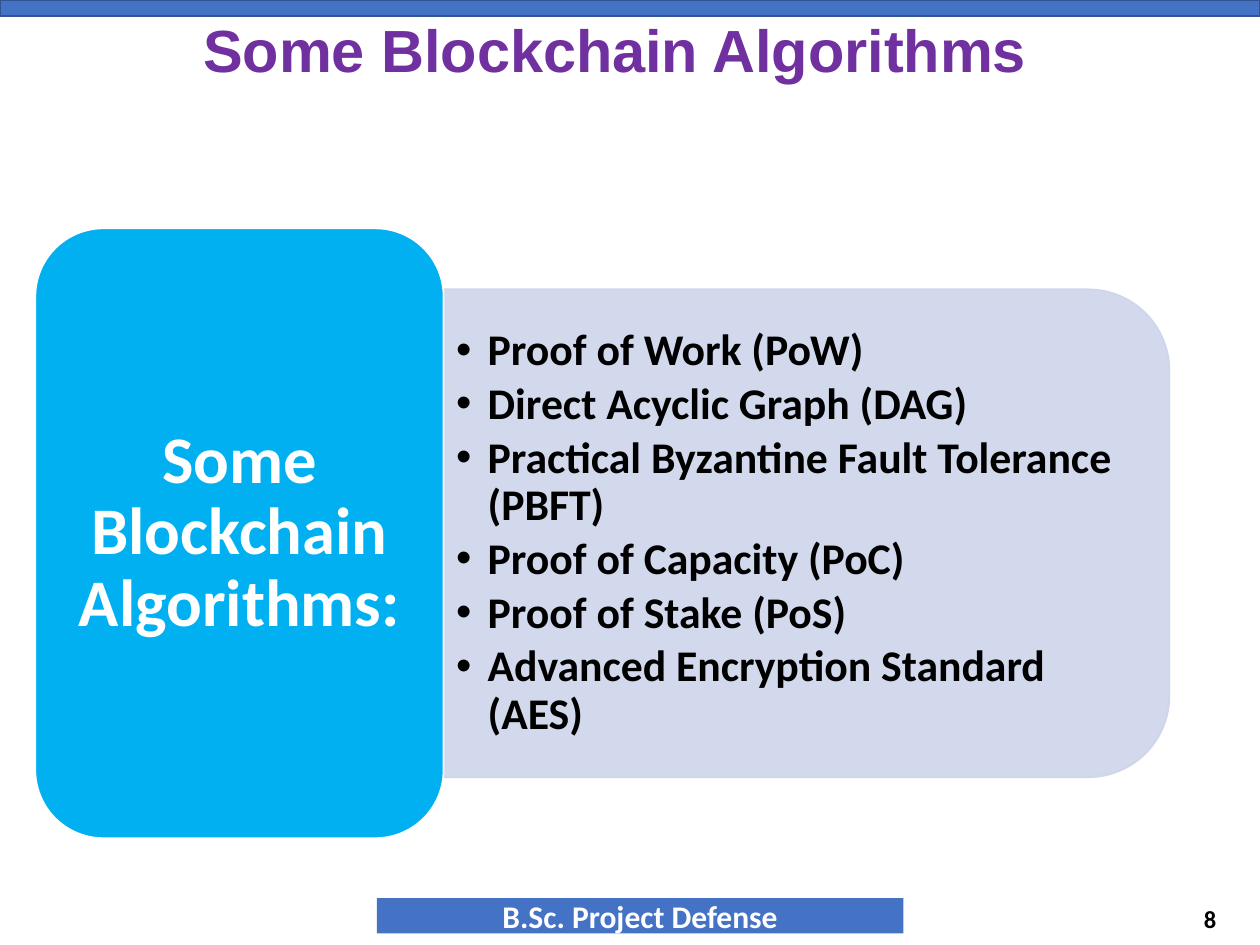
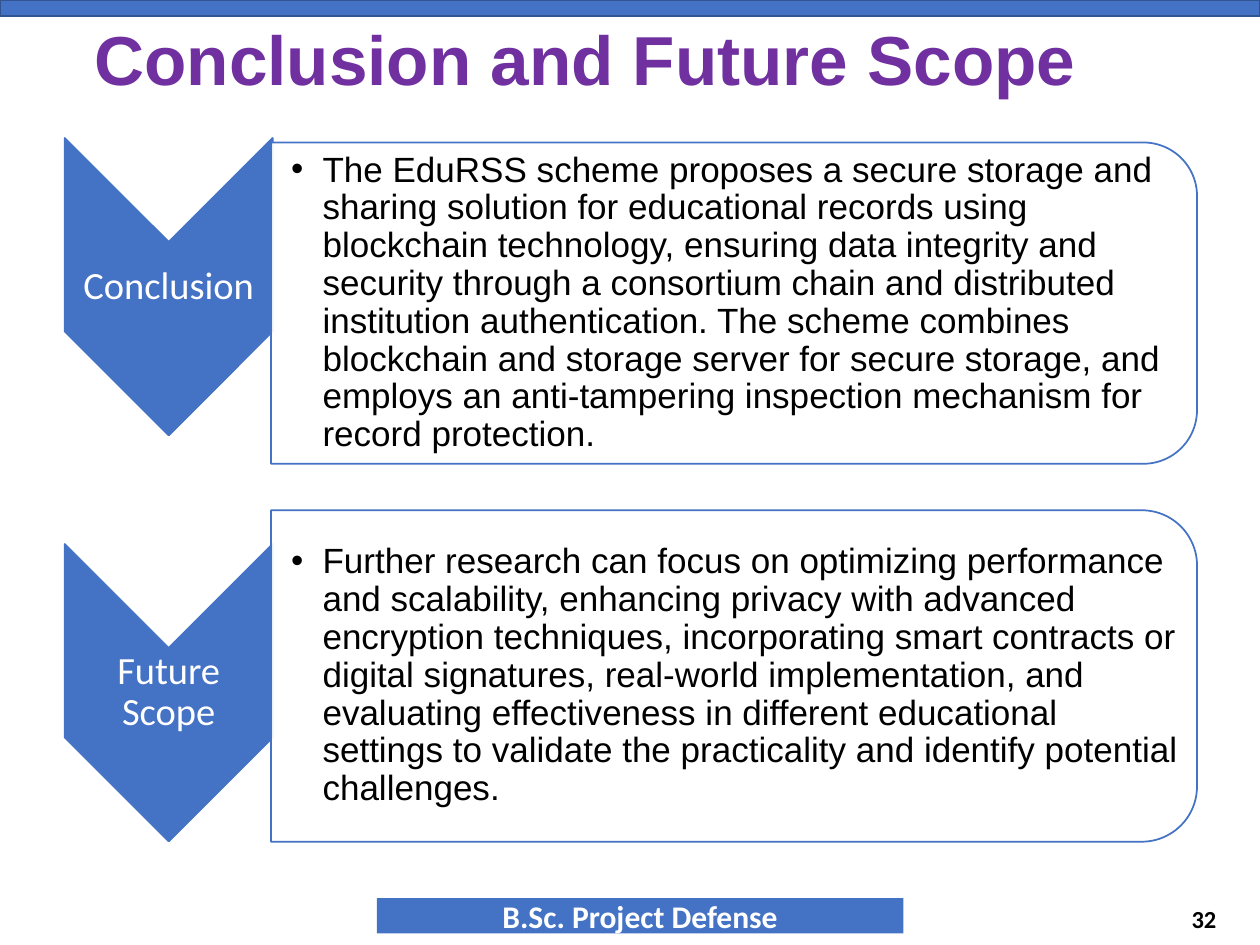
import lxml.etree
import pptx
import pptx.dml.color
import pptx.enum.shapes
import pptx.enum.text
import pptx.oxml.ns
import pptx.util

Pt = pptx.util.Pt
SHAPES = pptx.enum.shapes.MSO_SHAPE
ALIGN = pptx.enum.text.PP_ALIGN

BLUE, DARK_BLUE, SKY = "4472C4", "325491", "00B0F0"
LAVENDER, PURPLE = "CFD5EA", "7030A0"
WHITE, BLACK = "FFFFFF", "000000"

ALGORITHMS = [
    "Proof of Work (PoW)",
    "Direct Acyclic Graph (DAG)",
    "Practical Byzantine Fault Tolerance (PBFT)",
    "Proof of Capacity (PoC)",
    "Proof of Stake (PoS)",
    "Advanced Encryption Standard (AES)",
]
CONCLUSION = (
    "The EduRSS scheme proposes a secure storage and sharing solution for "
    "educational records using blockchain technology, ensuring data integrity "
    "and security through a consortium chain and distributed institution "
    "authentication. The scheme combines blockchain and storage server for "
    "secure storage, and employs an anti-tampering inspection mechanism for "
    "record protection."
)
FUTURE_SCOPE = (
    "Further research can focus on optimizing performance and scalability, "
    "enhancing privacy with advanced encryption techniques, incorporating smart "
    "contracts or digital signatures, real-world implementation, and evaluating "
    "effectiveness in different educational settings to validate the "
    "practicality and identify potential challenges."
)


def rgb(value):
    """Turn a hex string into a colour."""
    return pptx.dml.color.RGBColor.from_string(value)


def add_bullet(paragraph):
    """Give a paragraph a round bullet with a hanging indent."""
    properties = paragraph._p.get_or_add_pPr()
    properties.set("marL", str(Pt(18)))
    properties.set("indent", str(-Pt(18)))
    for tag, name, value in (("a:buFont", "typeface", "Arial"), ("a:buChar", "char", "•")):
        element = lxml.etree.SubElement(properties, pptx.oxml.ns.qn(tag))
        element.set(name, value)


def write_text(shape, lines, size, color=BLACK, font="Calibri", bold=False,
               align=ALIGN.LEFT, spacing=1.0, after=0, bullet=False,
               insets=(7.2, 3.6, 7.2, 3.6)):
    """Fill a shape with formatted paragraphs centred vertically."""
    frame = shape.text_frame
    frame.word_wrap = True
    frame.auto_size = pptx.enum.text.MSO_AUTO_SIZE.NONE
    frame.vertical_anchor = pptx.enum.text.MSO_ANCHOR.MIDDLE
    (frame.margin_left, frame.margin_top,
     frame.margin_right, frame.margin_bottom) = map(Pt, insets)
    for index, line in enumerate(lines):
        paragraph = frame.add_paragraph() if index else frame.paragraphs[0]
        if bullet:
            add_bullet(paragraph)
        paragraph.alignment = align
        paragraph.line_spacing = spacing
        paragraph.space_before = Pt(0)
        paragraph.space_after = Pt(size * after)
        run = paragraph.add_run()
        run.text = line
        run.font.name = font
        run.font.size = Pt(size)
        run.font.bold = bold
        run.font.color.rgb = rgb(color)


def place(shape, box):
    """Move a shape to a box of left, top, width and height in points."""
    shape.left, shape.top, shape.width, shape.height = map(Pt, box)


def add_text(slide, box, text, size, **text_format):
    """Add a text box with one paragraph."""
    shape = slide.shapes.add_textbox(*map(Pt, box))
    write_text(shape, [text], size, **text_format)


def add_block(slide, kind, box, fill, line=None, opacity=100, turned=False):
    """Add a preset shape that covers a box, turned a quarter when asked."""
    left, top, width, height = box
    if turned:
        left, top = left + (width - height) / 2, top + (height - width) / 2
        width, height = height, width
    shape = slide.shapes.add_shape(kind, *map(Pt, (left, top, width, height)))
    shape.rotation = 90 if turned else 0
    shape.shadow.inherit = False
    shape.fill.solid()
    shape.fill.fore_color.rgb = rgb(fill)
    if opacity < 100:
        color = next(shape._element.iter(pptx.oxml.ns.qn("a:srgbClr")))
        alpha = lxml.etree.SubElement(color, pptx.oxml.ns.qn("a:alpha"))
        alpha.set("val", str(opacity * 1000))
    if line:
        shape.line.color.rgb = rgb(line)
        shape.line.width = Pt(1)
    else:
        shape.line.fill.background()
    return shape


def add_panel(slide, placeholder, box, lines, text_box, fill, line, **text_format):
    """Add a panel rounded on the right, with a bulleted list in front."""
    add_block(slide, SHAPES.ROUND_2_SAME_RECTANGLE, box, fill, line,
              opacity=90, turned=True)
    place(placeholder, text_box)
    write_text(placeholder, lines, spacing=0.9, after=0.15, bullet=True, **text_format)
    slide.shapes._spTree.append(placeholder._element)


def start_slide(presentation, layout, title, box, size, align, number):
    """Add a slide with its title, top bar, footer band and page number."""
    slide = presentation.slides.add_slide(presentation.slide_layouts[layout])
    band = add_block(slide, SHAPES.RECTANGLE, (215.3, 513.2, 301, 20.2), BLUE)
    write_text(band, ["B.Sc. Project Defense"], 18, color=WHITE, bold=True,
               align=ALIGN.CENTER)
    add_block(slide, SHAPES.RECTANGLE, (0, 0, 720, 9), BLUE, DARK_BLUE)
    place(slide.shapes.title, box)
    write_text(slide.shapes.title, [title], size, color=PURPLE, font="Arial",
               bold=True, align=align, spacing=0.9)
    add_text(slide, (534.2, 510.5, 168, 28.8), number, 14, bold=True,
             align=ALIGN.RIGHT)
    return slide


def add_algorithm_card(slide, box, heading, lines):
    """Add a heading card on the left with a list panel beside it."""
    left, top, width, height = box
    card_width = 233.3
    panel_left, panel_width = left + card_width, width - card_width
    add_panel(slide, slide.placeholders[1],
              (panel_left, top + height * 0.1, panel_width, height * 0.8), lines,
              (panel_left, top + 49, panel_width - 13.6, height - 98),
              LAVENDER, LAVENDER, size=25, bold=True)
    add_block(slide, SHAPES.ROUNDED_RECTANGLE, (left, top, card_width, height), SKY, WHITE)
    add_text(slide, (left + 11.5, top + 11.5, card_width - 23, height - 23), heading, 38,
             color=WHITE, bold=True, align=ALIGN.CENTER, spacing=0.9, after=0.35,
             insets=(11.5, 5.8, 11.5, 5.8))


def add_section(slide, placeholder, box, chevron_offset, label, text):
    """Add a downward chevron with its label and a text panel beside it."""
    left, top, width, height = box
    chevron_width, chevron_height, label_height = 118.8, 169.9, 51
    chevron_top = top + chevron_offset
    add_block(slide, SHAPES.CHEVRON, (left, chevron_top, chevron_width, chevron_height),
              BLUE, BLUE, turned=True)
    add_text(slide, (left, chevron_top + (chevron_height - label_height) / 2,
                     chevron_width, label_height), label, 22, color=WHITE,
             align=ALIGN.CENTER, spacing=0.9, after=0.35, insets=(1.4,) * 4)
    panel_left, panel_width = left + 117.8, width - 117.8
    add_panel(slide, placeholder, (panel_left, top, panel_width, height), [text],
              (panel_left, top + 9, panel_width - 9.4, height - 18),
              WHITE, BLUE, size=20, font="Arial", insets=(11.5, 0.9, 0.9, 0.9))


def main():
    """Build both slides and save the presentation."""
    presentation = pptx.Presentation()
    presentation.slide_width, presentation.slide_height = Pt(720), Pt(540)

    slide = start_slide(presentation, 1, "Some Blockchain Algorithms",
                        (27.4, 10, 648, 40.3), 34, ALIGN.CENTER, "8")
    add_algorithm_card(slide, (20.2, 130.5, 648, 348.5),
                       "Some Blockchain Algorithms:", ALGORITHMS)

    slide = start_slide(presentation, 3, "Conclusion and Future Scope",
                        (46.8, 19.4, 625, 33.8), 39.6, ALIGN.LEFT, "32")
    first, second = slide.placeholders[1], slide.placeholders[2]
    add_section(slide, first, (37, 81.4, 647, 183.6), -2.5, "Conclusion", CONCLUSION)
    add_section(slide, second, (37, 291.6, 647, 189.4), 19.3, "Future Scope", FUTURE_SCOPE)
    for placeholder in list(slide.placeholders):
        if not placeholder.text_frame.text:
            placeholder._element.getparent().remove(placeholder._element)

    presentation.save("out.pptx")


if __name__ == "__main__":
    main()
